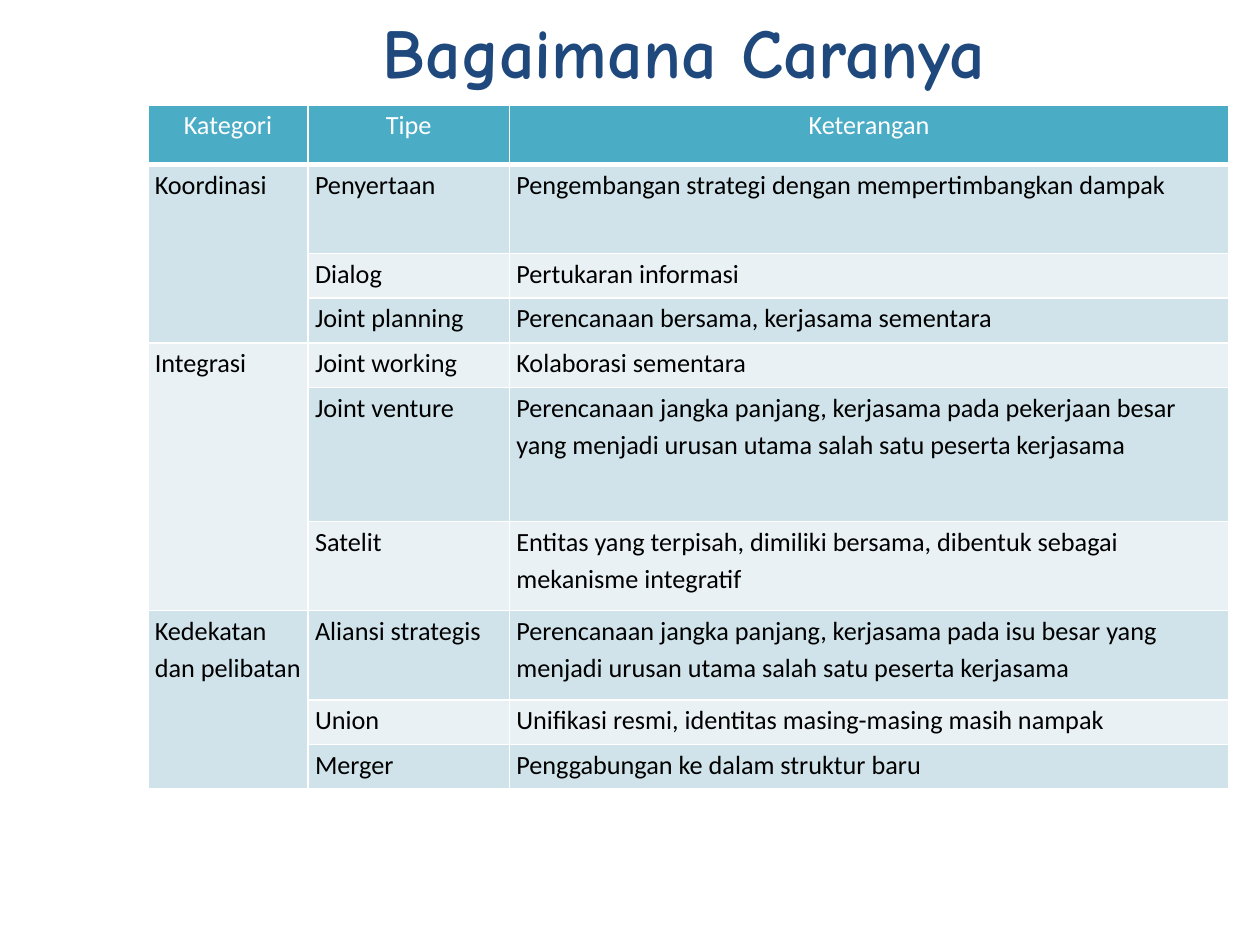
from dataclasses import dataclass

import pptx
import pptx.dml.color
import pptx.enum.text
import pptx.oxml
import pptx.oxml.ns
import pptx.util

Cm = pptx.util.Cm
ALIGN = pptx.enum.text.PP_ALIGN
WHITE, BLACK, NAVY = "FFFFFF", "000000", "1F497D"
TEAL, DARK_BAND, LIGHT_BAND = "4BACC6", "D0E3EA", "E9F1F5"
HEADINGS = ("Kategori", "Tipe", "Keterangan")
COLUMN_WIDTHS = (3.23, 4.06, 14.5)
HEADER_HEIGHT, LINE_HEIGHT = 1.19, 0.9


@dataclass
class Kind:
    """A type of cooperation and the number of line heights its row takes."""
    name: str
    detail: str
    lines: int = 1


@dataclass
class Category:
    """A category spanning several kinds of cooperation."""
    name: str
    kinds: list[Kind]


CATEGORIES = [
    Category("Koordinasi", [
        Kind("Penyertaan", "Pengembangan strategi dengan mempertimbangkan dampak", 2),
        Kind("Dialog", "Pertukaran informasi"),
        Kind("Joint planning", "Perencanaan bersama, kerjasama sementara"),
    ]),
    Category("Integrasi", [
        Kind("Joint working", "Kolaborasi sementara"),
        Kind("Joint venture", "Perencanaan jangka panjang, kerjasama pada pekerjaan besar "
             "yang menjadi urusan utama salah satu peserta kerjasama", 3),
        Kind("Satelit", "Entitas yang terpisah, dimiliki bersama, dibentuk sebagai "
             "mekanisme integratif", 2),
    ]),
    Category("Kedekatan dan pelibatan", [
        Kind("Aliansi strategis", "Perencanaan jangka panjang, kerjasama pada isu besar yang "
             "menjadi urusan utama salah satu peserta kerjasama", 2),
        Kind("Union", "Unifikasi resmi, identitas masing-masing masih nampak"),
        Kind("Merger", "Penggabungan ke dalam struktur baru"),
    ]),
]


def rgb(color: str) -> pptx.dml.color.RGBColor:
    """Turn a hex string into a colour."""
    return pptx.dml.color.RGBColor.from_string(color)


def assign(target, values: dict) -> None:
    """Set each named attribute of the target."""
    for name, value in values.items():
        setattr(target, name, value)


def write(frame, text: str, color: str, font: dict, para_format: dict) -> None:
    """Write one formatted paragraph into a text frame."""
    para = frame.paragraphs[0]
    assign(para, para_format)
    span = para.add_run()
    span.text = text
    assign(span.font, font)
    span.font.color.rgb = rgb(color)


def add_borders(cell, bottom: float) -> None:
    """Give a cell white borders, with its own bottom width in points."""
    properties = cell._tc.get_or_add_tcPr()
    for side, width in {"L": 1, "R": 1, "T": 1, "B": bottom}.items():
        properties.append(pptx.oxml.parse_xml(
            f'<a:ln{side} {pptx.oxml.ns.nsdecls("a")} w="{pptx.util.Pt(width)}">'
            f'<a:solidFill><a:srgbClr val="{WHITE}"/></a:solidFill></a:ln{side}>'))


def style_cell(cell, text: str, fill: str, header: bool = False) -> None:
    """Fill, border and label one table cell."""
    add_borders(cell, 3 if header else 1)
    cell.fill.solid()
    cell.fill.fore_color.rgb = rgb(fill)
    assign(cell, {"margin_left": Cm(0.14), "margin_right": Cm(0.14),
                  "margin_top": 0, "margin_bottom": 0})
    if text:
        write(cell.text_frame, text, WHITE if header else BLACK,
              {"name": "Calibri", "size": pptx.util.Pt(15), "bold": False},
              {"alignment": ALIGN.CENTER if header else ALIGN.LEFT, "line_spacing": 1.15})


def add_title(page, text: str) -> None:
    """Add the slide heading."""
    box = page.shapes.add_textbox(Cm(2.49), Cm(0.36), Cm(22.6), Cm(1.55))
    assign(box.text_frame, {"word_wrap": True,
                            "vertical_anchor": pptx.enum.text.MSO_ANCHOR.MIDDLE})
    write(box.text_frame, text, NAVY,
          {"name": "Comic Neue", "size": pptx.util.Pt(40), "bold": True},
          {"alignment": ALIGN.CENTER, "line_spacing": 0.9})


def add_category_table(page) -> None:
    """Add the table of categories, types and explanations."""
    kinds = [kind for category in CATEGORIES for kind in category.kinds]
    heights = [HEADER_HEIGHT] + [LINE_HEIGHT * kind.lines for kind in kinds]
    table = page.shapes.add_table(
        len(heights), len(HEADINGS), Cm(2.98), Cm(2.12),
        Cm(sum(COLUMN_WIDTHS)), Cm(sum(heights))).table
    assign(table, {"first_row": False, "horz_banding": False})
    for column, width in zip(table.columns, COLUMN_WIDTHS):
        column.width = Cm(width)
    for row, height in zip(table.rows, heights):
        row.height = Cm(height)
    for column, heading in enumerate(HEADINGS):
        style_cell(table.cell(0, column), heading, TEAL, header=True)

    row = 1
    for category in CATEGORIES:
        first = row
        for kind in category.kinds:
            band = DARK_BAND if row % 2 else LIGHT_BAND
            label = category.name if row == first else ""
            for column, text in enumerate((label, kind.name, kind.detail)):
                style_cell(table.cell(row, column), text, band)
            row += 1
        table.cell(first, 0).merge(table.cell(row - 1, 0))


def main() -> None:
    """Build and save the deck."""
    deck = pptx.Presentation()
    assign(deck, {"slide_width": Cm(25.4), "slide_height": Cm(19.05)})
    page = deck.slides.add_slide(deck.slide_layouts[6])
    add_title(page, "Bagaimana Caranya")
    add_category_table(page)
    deck.save("out.pptx")


main()
